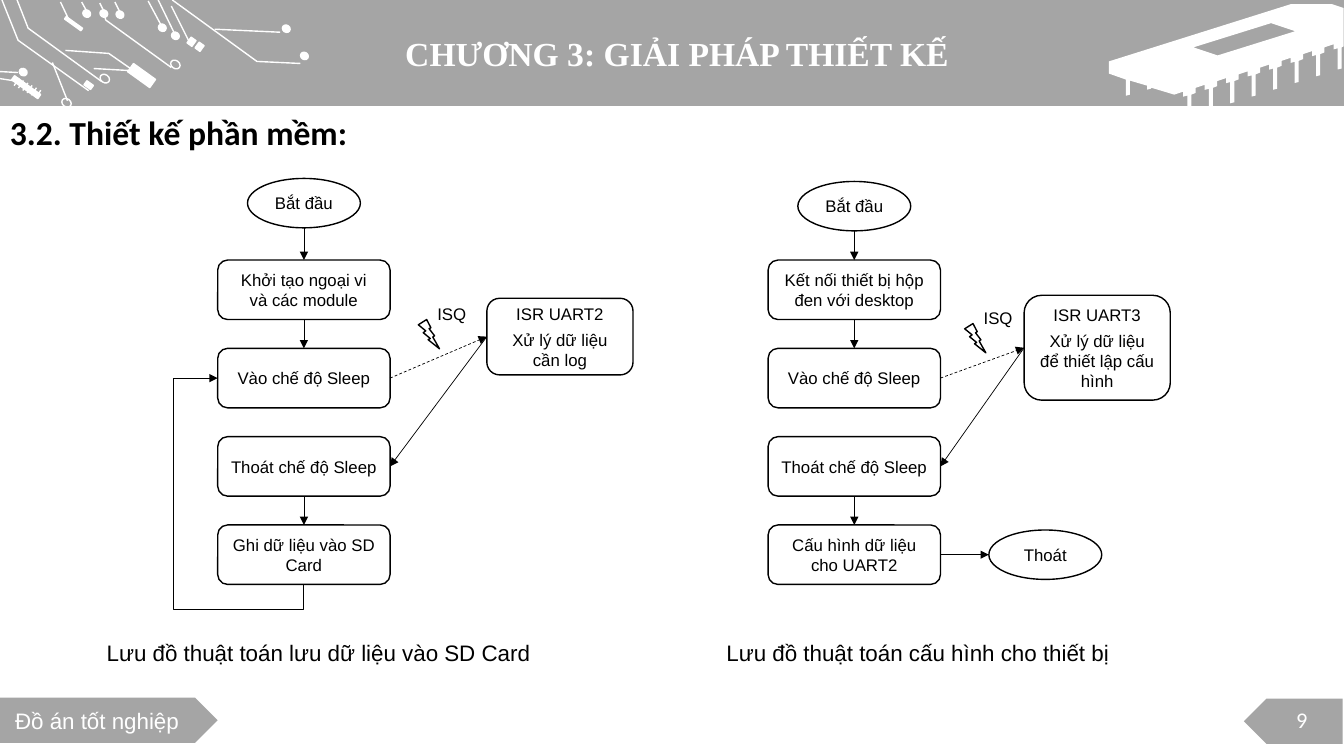
from lxml.etree import SubElement
from pptx import Presentation
from pptx.dml.color import RGBColor
from pptx.enum.dml import MSO_LINE
from pptx.enum.shapes import MSO_CONNECTOR, MSO_SHAPE
from pptx.enum.text import MSO_ANCHOR, PP_ALIGN
from pptx.oxml.ns import qn
from pptx.util import Inches, Pt

GRAY = RGBColor(0xA5, 0xA5, 0xA5)
WHITE = RGBColor(0xFF, 0xFF, 0xFF)
BLACK = RGBColor(0, 0, 0)

# Grid: one cell is a tenth of an inch
COLS, ROWS = 133.33, 75
TILT = 35.7
STEP_W, STEP_H, STEP_TOP, STEP_PITCH = 17.1, 5.9, 25.8, 8.76
OVAL_W, OVAL_H = 11.2, 4.9

# Circuit artwork in the header, in grid cells
PADS = [(29.8, 5.2), (28, 2.5), (8.2, 1), (9.9, 1), (11.5, 1.1), (1.9, 6.8),
        (17, 3.2), (15.7, 2.4)]
RINGS = [(16.9, 6), (9.9, 7.4), (6.1, 9.8)]
CHIPS = [(12.7, 7, 2.7, 1), (6.3, 2.2, 2, 0.3), (8.4, 8.2, 0.8, 0.5),
         (18.7, 3.8, 0.6, 0.7), (19.5, 4.3, 0.6, 0.7), (1, 8.4, 3.2, 0.5)]
TRACKS = [((6, 0.2), (6.9, 2.1)), ((8.1, 0.2), (8.6, 1.1)),
          ((9.9, 0.3), (10.3, 1.1)), ((11.4, 0.2), (11.9, 1.2)),
          ((14.7, 0.1), (16.2, 2.9)), ((15.7, 0), (17.4, 3.5)),
          ((21.3, 2.9), (27.8, 3.2)), ((17, 0.6), (18.8, 4.2)),
          ((0, 7.1), (1.8, 7.2)), ((0, 7.8), (1.3, 8)),
          ((5.2, 6.2), (6.7, 10)), ((9.3, 6.8), (12.9, 7))]
BENT_TRACKS = [[(17.1, 0), (25.5, 6.1), (29.8, 6.3)],
               [(1.7, 0), (2.8, 2.8), (10.1, 8.1)],
               [(0.2, 0), (1.8, 4), (8.8, 9)],
               [(6.5, 5), (10.8, 5.3), (13.1, 6.9)],
               [(10.3, 1.3), (10.5, 2), (17, 6.7)]]
PIN = [(0, 0), (0, 2.1), (-0.4, 2.2), (-0.4, 0.1), (-0.8, 0.2), (-0.8, -0.3),
       (-1.7, 0), (-1.7, 0.5)]


def u(cells):
    return Inches(cells / 10)


def paint(sp, fill=None, line=None):
    sp.shadow.inherit = False
    if fill is None:
        sp.fill.background()
    else:
        sp.fill.solid()
        sp.fill.fore_color.rgb = fill
    if line is None:
        sp.line.fill.background()
    else:
        sp.line.color.rgb = line
        sp.line.width = Pt(1)
    return sp


def shape(slide, kind, x, y, w, h, fill=None, line=None, rotation=0):
    sp = slide.shapes.add_shape(kind, u(x), u(y), u(w), u(h))
    sp.rotation = rotation
    return paint(sp, fill, line)


def write(sp, lines, size=12, font="Arial", color=BLACK, bold=False,
          align=PP_ALIGN.CENTER, anchor=MSO_ANCHOR.MIDDLE):
    tf = sp.text_frame
    tf.word_wrap = True
    tf.vertical_anchor = anchor
    for i, line in enumerate(lines):
        p = tf.add_paragraph() if i else tf.paragraphs[0]
        p.alignment = align
        r = p.add_run()
        r.text = line
        r.font.size, r.font.name, r.font.bold = Pt(size), font, bold
        r.font.color.rgb = color
    return sp


def label(slide, x, y, w, h, text, align=PP_ALIGN.LEFT, **style):
    sp = slide.shapes.add_textbox(u(x), u(y), u(w), u(h))
    return write(sp, [text], align=align, anchor=MSO_ANCHOR.TOP, **style)


def polyline(slide, *outlines, close=False):
    points = [[(u(x), u(y)) for x, y in outline] for outline in outlines]
    builder = slide.shapes.build_freeform(*points[0][0])
    builder.add_line_segments(points[0][1:], close=close)
    for outline in points[1:]:
        builder.move_to(*outline[0])
        builder.add_line_segments(outline[1:], close=close)
    return builder.convert_to_shape()


def connector(slide, start, end, color, width, kind=MSO_CONNECTOR.STRAIGHT):
    c = slide.shapes.add_connector(kind, *map(u, start), *map(u, end))
    c.line.color.rgb = color
    c.line.width = Pt(width)
    SubElement(c.element.spPr, qn("a:effectLst"))
    return c


def arrow(slide, start, end, dashed=False, kind=MSO_CONNECTOR.STRAIGHT):
    c = connector(slide, start, end, BLACK, 0.5, kind)
    if dashed:
        c.line.dash_style = MSO_LINE.DASH
    SubElement(c.line._get_or_add_ln(), qn("a:tailEnd"), type="triangle")
    return c


def loop_arrow(slide, start, end):
    """Elbow arrow that leaves downward, runs left and comes back in rightward."""
    w, h = start[1] - end[1], start[0] - end[0]
    cx, cy = (start[0] + end[0]) / 2, (start[1] + end[1]) / 2
    c = arrow(slide, (cx - w / 2, cy - h / 2), (cx + w / 2, cy + h / 2),
              kind=MSO_CONNECTOR.ELBOW)
    xfrm = c.element.spPr.find(qn("a:xfrm"))
    xfrm.set("rot", "5400000")
    xfrm.set("flipH", "1")
    geom = c.element.spPr.find(qn("a:prstGeom"))
    geom.set("prst", "bentConnector4")
    for name, value in (("adj1", -12200), ("adj2", 151700)):
        SubElement(geom.find(qn("a:avLst")), qn("a:gd"), name=name, fmla=f"val {value}")


def header(slide):
    shape(slide, MSO_SHAPE.RECTANGLE, 0, 0, COLS, 10.5, GRAY)
    # Chip with a window and eight evenly spaced pins
    pins = [(133.1 - 2.13 * k + dx, 4.7 + 0.67 * k + dy)
            for k in range(8) for dx, dy in PIN][:-1]
    body = [(128.1, 0.4), (132.1, 0.4), (133.3, 0.8), (133.3, 4.6), *pins,
            (114.2, 8.7), (114.2, 8.8), (113.8, 8.9), (113.8, 8.5), (112.1, 8),
            (112.1, 9.4), (111.7, 9.5), (111.7, 7.9), (110, 7.3), (110, 6.1)]
    window = [(126.1, 2.3), (118.4, 4.7), (120.8, 5.5), (128.5, 3.1)]
    paint(polyline(slide, window, body, close=True), WHITE)
    # Circuit tracks
    for x, y in PADS:
        shape(slide, MSO_SHAPE.OVAL, x, y, 0.8, 0.7, WHITE, WHITE, TILT)
    for x, y in RINGS:
        shape(slide, MSO_SHAPE.OVAL, x, y, 1, 0.8, None, WHITE, TILT)
    for box in CHIPS:
        shape(slide, MSO_SHAPE.RECTANGLE, *box, WHITE, WHITE, TILT)
    teeth = [((1.4 + 0.43 * i, 8.5 + 0.24 * i), (1.9 + 0.43 * i, 7.75 + 0.24 * i))
             for i in range(6)]
    for start, end in TRACKS + teeth:
        connector(slide, start, end, WHITE, 1)
    for points in BENT_TRACKS:
        paint(polyline(slide, points), line=WHITE)


def footer(slide):
    shape(slide, MSO_SHAPE.PENTAGON, 123.4, 69.3, 9.8, 4.5, GRAY, rotation=180)
    tag = shape(slide, MSO_SHAPE.PENTAGON, 0, 69.2, 21.6, 4.5, GRAY)
    tag.text_frame.margin_right = u(2.2)
    write(tag, ["Đồ án tốt nghiệp"], 16, color=WHITE)
    label(slide, 127.6, 69.6, 5, 3.7, "9", size=16, font="Calibri", color=WHITE)


def title(slide, text):
    sp = slide.shapes.title
    sp.left, sp.top, sp.width, sp.height = u(39), u(2.4), u(62), u(5.8)
    sp.text_frame.margin_left = u(1.2)
    write(sp, [text], 24, "Times New Roman", WHITE, True, PP_ALIGN.JUSTIFY)
    sp.element.getparent().append(sp.element)  # in front of the header band


def flowchart(slide, x, start_top, steps, isr_box, isr_lines, bolt):
    mid, right = x + STEP_W / 2, x + STEP_W
    tops = [STEP_TOP + STEP_PITCH * i for i in range(len(steps))]
    centres = [top + STEP_H / 2 for top in tops]
    oval(slide, mid - OVAL_W / 2, start_top, "Bắt đầu")
    for top, text in zip(tops, steps):
        sp = shape(slide, MSO_SHAPE.ROUNDED_RECTANGLE, x, top, STEP_W, STEP_H, line=BLACK)
        write(sp, [text])
    # Downward flow; sleep and wake are joined through the interrupt
    arrow(slide, (mid, start_top + OVAL_H), (mid, tops[0]))
    for i in (0, 2):
        arrow(slide, (mid, tops[i] + STEP_H), (mid, tops[i + 1]))
    isr = write(shape(slide, MSO_SHAPE.ROUNDED_RECTANGLE, *isr_box, line=BLACK), isr_lines)
    isr.text_frame.paragraphs[0].space_after = Pt(4)
    isr_entry = (isr_box[0], isr_box[1] + isr_box[3] / 2)
    arrow(slide, (right, centres[1]), isr_entry, dashed=True)
    arrow(slide, isr_entry, (right, centres[2]))
    # Interrupt request
    shape(slide, MSO_SHAPE.LIGHTNING_BOLT, *bolt, 2.1, 2.9, line=BLACK)
    request = label(slide, bolt[0] + 0.9, bolt[1] - 2.1, 4.9, 3, "ISQ")
    request.text_frame.margin_right = 0
    return (mid, tops[-1] + STEP_H), (x, centres[1]), (right, centres[-1])


def oval(slide, x, y, text):
    write(shape(slide, MSO_SHAPE.OVAL, x, y, OVAL_W, OVAL_H, line=BLACK), [text])


def main():
    prs = Presentation()
    prs.slide_width, prs.slide_height = u(COLS), u(ROWS)
    slide = prs.slides.add_slide(prs.slide_layouts[5])
    footer(slide)
    header(slide)
    title(slide, "CHƯƠNG 3: GIẢI PHÁP THIẾT KẾ")
    label(slide, 0, 10.6, 50.5, 5, "3.2. Thiết kế phần mềm:", size=24, font="Calibri", bold=True)

    # Left: logging to the card, looping back to sleep
    bottom, sleep, _ = flowchart(
        slide, 21.6, 17.7,
        ["Khởi tạo ngoại vi và các module", "Vào chế độ Sleep",
         "Thoát chế độ Sleep", "Ghi dữ liệu vào SD Card"],
        (48.3, 29.6, 14.5, 7.6), ["ISR UART2", "Xử lý dữ liệu cần log"], (41.5, 31.7))
    loop_arrow(slide, bottom, sleep)
    label(slide, 8.9, 62.9, 45.4, 3.7, "Lưu đồ thuật toán lưu dữ liệu vào SD Card",
          PP_ALIGN.CENTER, size=16)

    # Right: configuring the device, ending in an exit
    _, _, exit_side = flowchart(
        slide, 76.2, 18,
        ["Kết nối thiết bị hộp đen với desktop", "Vào chế độ Sleep",
         "Thoát chế độ Sleep", "Cấu hình dữ liệu cho UART2"],
        (101.6, 29.3, 14.5, 10.4),
        ["ISR UART3", "Xử lý dữ liệu để thiết lập cấu hình"], (95.7, 32.1))
    oval(slide, 98.1, exit_side[1] - OVAL_H / 2, "Thoát")
    arrow(slide, exit_side, (98.1, exit_side[1]))
    label(slide, 70, 62.9, 42.1, 3.7, "Lưu đồ thuật toán cấu hình cho thiết bị",
          PP_ALIGN.CENTER, size=16)
    prs.save("out.pptx")


if __name__ == "__main__":
    main()
